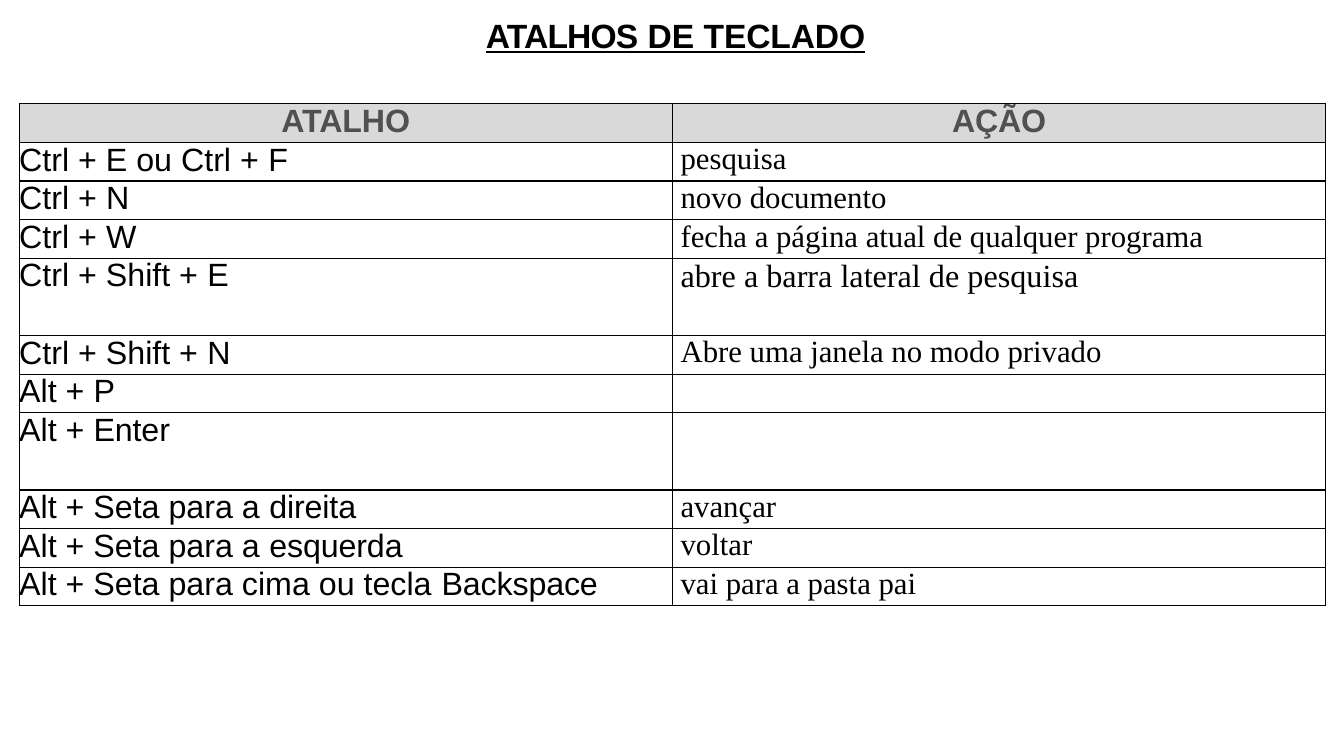
from lxml.etree import SubElement
from pptx import Presentation
from pptx.dml.color import RGBColor
from pptx.enum.text import PP_ALIGN as AL
from pptx.oxml.ns import qn
from pptx.util import Inches, Pt

TITLE = [("ATALHOS", -0.6), (" ", -0.8), ("DE", 0), (" ", -0.6), ("TECLADO", -0.1)]
HEADERS = [("ATALHO", -0.1), ("AÇÃO", -0.2)]
SHORTCUTS = [
    ("Ctrl + E ou Ctrl + ", "F", "pesquisa"),
    ("Ctrl + ", "N", "novo documento"),
    ("Ctrl + ", "W", "fecha a página atual de qualquer programa"),
    ("Ctrl + Shift + ", "E", "abre a barra lateral de pesquisa"),
    ("Ctrl + Shift + ", "N", "Abre uma janela no modo privado"),
    ("Alt + ", "P", ""),
    ("Alt + ", "Enter", ""),
    ("Alt + Seta para a ", "direita", "avançar"),
    ("Alt + Seta para a ", "esquerda", "voltar"),
    ("Alt + Seta para cima ou tecla ", "Backspace", "vai para a pasta pai"),
]
TALL_ROWS = {4, 7}
LARGE_ACTION = 4
ROW_H = 4.98 / 13
COL_W = 6.48

TITLE_FONT = dict(name="Arial", size=Pt(24), bold=True, underline=True)
HEAD_FONT = dict(name="Arial", size=Pt(23), bold=True)
KEY_FONT = dict(name="Arial", size=Pt(23), bold=False)
ACTION_FONT = dict(name="Times New Roman", size=Pt(22), bold=False)


def rgb(color):
    return RGBColor.from_string(color)


def assign(obj, values):
    for name, value in values.items():
        setattr(obj, name, value)


def write(p, parts, font, color="000000"):
    for text, spacing in parts:
        r = p.add_run()
        r.text = text
        assign(r.font, font)
        r.font.color.rgb = rgb(color)
        r._r.get_or_add_rPr().set("spc", str(round(spacing * 100)))


def style_cell(cell, fill=None, left=0):
    assign(cell, dict(margin_left=Inches(left), margin_right=0, margin_top=0, margin_bottom=0))
    pr = cell._tc.get_or_add_tcPr()
    for side in ("lnL", "lnR", "lnT", "lnB"):
        ln = SubElement(pr, qn("a:" + side), w=str(Pt(1)))
        SubElement(SubElement(ln, qn("a:solidFill")), qn("a:srgbClr"), val="000000")
    if fill:
        cell.fill.solid()
        cell.fill.fore_color.rgb = rgb(fill)
    else:
        cell.fill.background()


prs = Presentation()
assign(prs, dict(slide_width=Inches(13.33), slide_height=Inches(7.5)))
s = prs.slides.add_slide(prs.slide_layouts[6])

tf = s.shapes.add_textbox(Inches(2.6), Inches(0.06), Inches(7.8), Inches(0.71)).text_frame
assign(tf, dict(word_wrap=True, margin_left=Inches(2.22), margin_top=Inches(0.09),
                margin_right=0, margin_bottom=0))
p = tf.paragraphs[0]
p.space_before = Pt(1)
write(p, TITLE, TITLE_FONT)

table = s.shapes.add_table(len(SHORTCUTS) + 1, 2, Inches(0.19), Inches(1.03),
                           Inches(2 * COL_W), Inches(13 * ROW_H)).table
assign(table, dict(first_row=False, horz_banding=False))
for col in table.columns:
    col.width = Inches(COL_W)
for i, row in enumerate(table.rows):
    row.height = Inches(ROW_H * (2 if i in TALL_ROWS else 1))

for i, header in enumerate(HEADERS):
    cell = table.cell(0, i)
    style_cell(cell, "D9D9D9")
    p = cell.text_frame.paragraphs[0]
    assign(p, dict(alignment=AL.CENTER, line_spacing=Pt(25.4)))
    write(p, [header], HEAD_FONT, "505050")

for i, (prefix, key, action) in enumerate(SHORTCUTS, 1):
    key_cell, action_cell = table.cell(i, 0), table.cell(i, 1)
    style_cell(key_cell)
    style_cell(action_cell, left=0.08)
    p = key_cell.text_frame.paragraphs[0]
    p.line_spacing = Pt(25.4)
    write(p, [(prefix, 0), (key, -0.5 if len(key) == 1 else -0.1)], KEY_FONT)
    if action:
        size = Pt(23 if i == LARGE_ACTION else 22)
        write(action_cell.text_frame.paragraphs[0], [(action, 0)], {**ACTION_FONT, "size": size})

prs.save("out.pptx")
